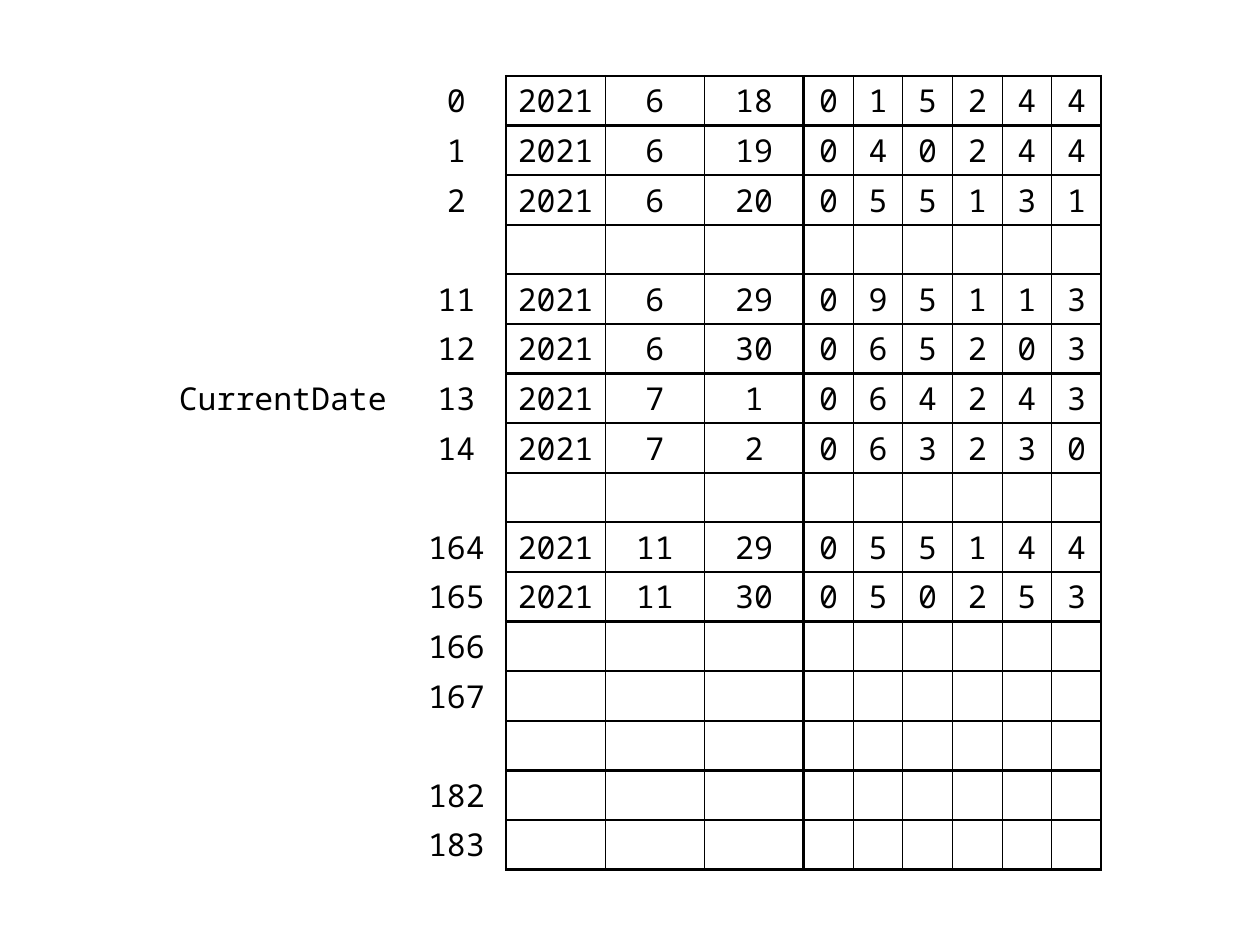
from lxml import etree
from pptx import Presentation
from pptx.dml.color import RGBColor
from pptx.enum.text import MSO_ANCHOR, PP_ALIGN
from pptx.oxml.ns import qn
from pptx.util import Cm, Pt

CENTER = PP_ALIGN.CENTER
MIDDLE = MSO_ANCHOR.MIDDLE
BLACK = RGBColor(0, 0, 0)
FONT = "Noto Sans Mono"
THICK, THIN = Pt(1.5), Pt(0.5)

# pointer label, index, (year, month, day), six values
ROWS = [
    ("", "0", (2021, 6, 18), "015244"),
    ("", "1", (2021, 6, 19), "040244"),
    ("", "2", (2021, 6, 20), "055131"),
    ("", "", (), ""),
    ("", "11", (2021, 6, 29), "095113"),
    ("", "12", (2021, 6, 30), "065203"),
    ("CurrentDate", "13", (2021, 7, 1), "064243"),
    ("", "14", (2021, 7, 2), "063230"),
    ("", "", (), ""),
    ("", "164", (2021, 11, 29), "055144"),
    ("", "165", (2021, 11, 30), "050253"),
    ("", "166", (), ""),
    ("", "167", (), ""),
    ("", "", (), ""),
    ("", "182", (), ""),
    ("", "183", (), ""),
]
COL_WIDTHS = [5, 2] + [2] * 3 + [1] * 6
ROW_HEIGHT = 1
FIRST_BOXED = 2
GROUP_EDGES = {2, 5, len(COL_WIDTHS)}  # column boundaries drawn thick
LEFT, TOP = Cm(3.2), Cm(1.53)


def edge_width(boundary):
    """Return the line width of a vertical column boundary, None if undrawn."""
    if boundary < FIRST_BOXED:
        return None
    return THICK if boundary in GROUP_EDGES else THIN


def set_borders(cell, col):
    """Draw the four borders of a cell according to its column."""
    level = THICK if col >= FIRST_BOXED else None
    widths = {"a:lnL": edge_width(col), "a:lnR": edge_width(col + 1),
              "a:lnT": level, "a:lnB": level}
    tcPr = cell._tc.get_or_add_tcPr()
    for i, (tag, width) in enumerate(widths.items()):
        ln = etree.Element(qn(tag))
        tcPr.insert(i, ln)
        if width is None:
            etree.SubElement(ln, qn("a:noFill"))
            continue
        ln.set("w", str(int(width)))
        fill = etree.SubElement(ln, qn("a:solidFill"))
        etree.SubElement(fill, qn("a:srgbClr")).set("val", str(BLACK))


def fill_cell(cell, text):
    """Put centred text into an unfilled cell without margins."""
    cell.fill.background()
    cell.vertical_anchor = MIDDLE
    cell.margin_left = cell.margin_right = 0
    cell.margin_top = cell.margin_bottom = 0
    if not text:
        return
    cell.text_frame.text = text
    p = cell.text_frame.paragraphs[0]
    p.alignment = CENTER
    for r in p.runs:
        r.font.name = FONT
        r.font.size = Pt(18)
        r.font.color.rgb = BLACK


def add_date_table(s):
    """Add the indexed table of dates and values."""
    frame = s.shapes.add_table(len(ROWS), len(COL_WIDTHS), LEFT, TOP,
                               Cm(sum(COL_WIDTHS)), Cm(ROW_HEIGHT * len(ROWS)))
    table = frame.table
    table.first_row = table.horz_banding = False
    for column, width in zip(table.columns, COL_WIDTHS):
        column.width = Cm(width)
    for row, (pointer, index, date, values) in zip(table.rows, ROWS):
        row.height = Cm(ROW_HEIGHT)
        texts = [pointer, index, *map(str, date), *values]
        texts += [""] * (len(COL_WIDTHS) - len(texts))
        for col, (cell, text) in enumerate(zip(row.cells, texts)):
            fill_cell(cell, text)
            set_borders(cell, col)


prs = Presentation()
prs.slide_width, prs.slide_height = Cm(25.4), Cm(19.05)
s = prs.slides.add_slide(prs.slide_layouts[6])
add_date_table(s)
prs.save("out.pptx")
